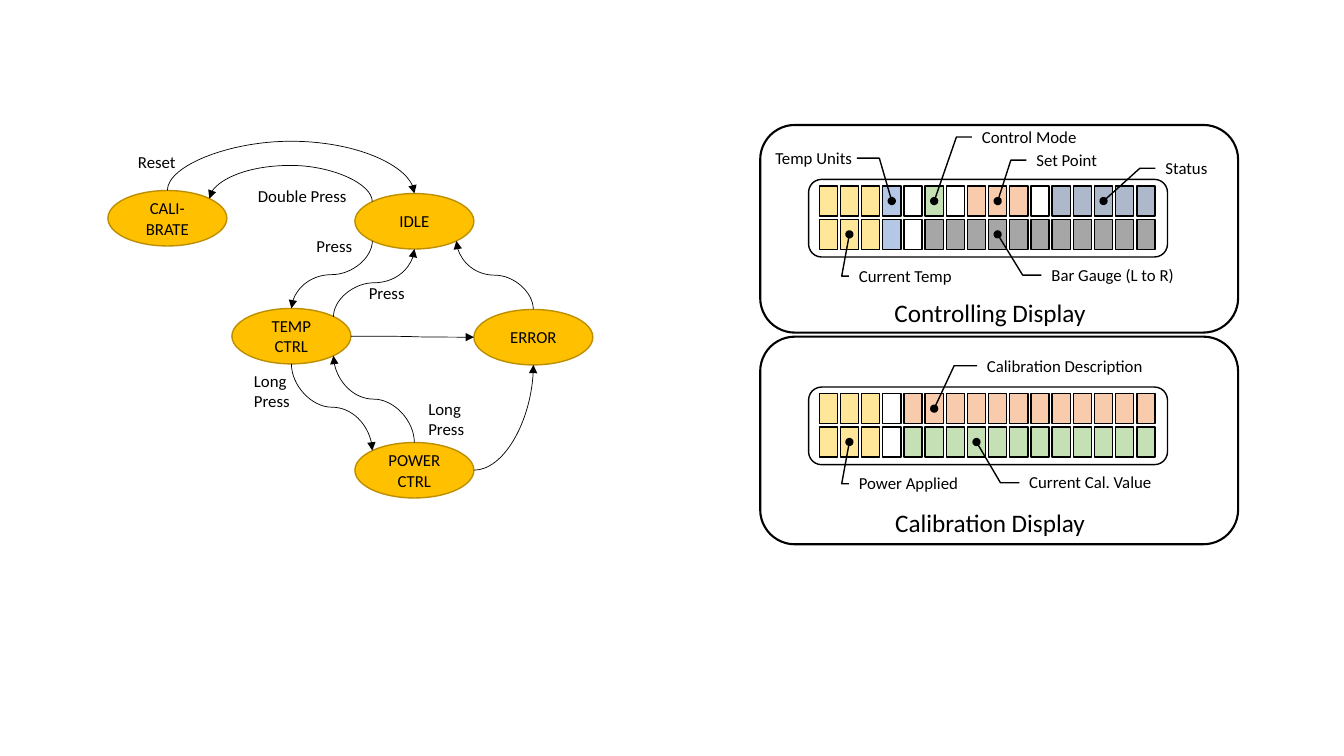
"""Draw a controller state diagram beside its two display layouts."""
from copy import deepcopy
from dataclasses import dataclass
from math import cos, radians, sin
from typing import Optional

from lxml import etree
from pptx import Presentation
from pptx import util as u
from pptx.dml.color import RGBColor
from pptx.enum import shapes, text
from pptx.oxml import ns

GRID = u.Inches(0.1)
STATE_W, STATE_H = 11.8, 5.5
CELL_W, CELL_H, CELL_DX, CELL_DY = 1.8, 3, 2.1, 3.3
PANEL_X, PANEL_W, PANEL_H = 75.4, 47.4, 20.6
FRAME_X, FRAME_W, FRAME_H = 80.2, 35.6, 7.7
COLORS = {"Y": "FFE699", "B": "B4C7E7", "G": "C5E0B4", "O": "F8CBAD",
          "S": "ADB9CA", "A": "A6A6A6", "-": None}
TOP, TOP_LEFT, LEFT, LOW_LEFT, BOTTOM, LOW_RIGHT, RIGHT, TOP_RIGHT = range(8)
MSO, ALIGN = shapes.MSO_SHAPE, text.PP_ALIGN


@dataclass
class State:
    name: str
    x: float
    y: float

    def site(self, i: int) -> tuple[float, float]:
        a = radians(90 + 45 * i)
        return (self.x + STATE_W / 2 * (1 + cos(a)),
                self.y + STATE_H / 2 * (1 - sin(a)))


@dataclass
class Link:
    start: str
    start_site: int
    end: str
    end_site: int
    peak: Optional[float] = None


@dataclass
class Label:
    text: str
    x: float
    y: float
    w: float
    h: float = 3


@dataclass
class Callout:
    text: str
    x: float
    y: float
    w: float
    col: int
    row: int
    elbow: float = -0.13
    flip: bool = False


@dataclass
class Panel:
    title: str
    y: float
    frame_y: float
    title_y: float
    rows: tuple[str, str]
    callouts: list[Callout]


STATES = [State("IDLE", 35.2, 19.2), State("TEMP\vCTRL", 23, 30.6),
          State("POWER\vCTRL", 35.2, 43.9), State("ERROR", 47, 30.7),
          State("CALI-BRATE", 10.7, 18.9)]
IDLE, TEMP, POWER, ERROR, CALIBRATE = (state.name for state in STATES)
LINKS = [Link(TEMP, BOTTOM, POWER, TOP_LEFT), Link(TEMP, RIGHT, ERROR, LEFT),
         Link(IDLE, LOW_LEFT, TEMP, TOP), Link(ERROR, TOP, IDLE, LOW_RIGHT),
         Link(POWER, RIGHT, ERROR, BOTTOM),
         Link(IDLE, TOP_LEFT, CALIBRATE, TOP_RIGHT, 16.4),
         Link(CALIBRATE, TOP, IDLE, TOP, 14),
         Link(TEMP, TOP_RIGHT, IDLE, BOTTOM), Link(POWER, TOP, TEMP, LOW_RIGHT)]
LABELS = [Label("Double Press", 24.6, 17.9, 11.5), Label("Reset", 12.7, 14.6, 11.5),
          Label("Press", 30.4, 22.9, 6.8), Label("Press", 35.6, 27.6, 6.8),
          Label("Long Press", 24.2, 36.3, 6.8, 5), Label("Long Press", 41.5, 39.1, 6.8, 5)]
PANELS = [
    Panel("Controlling Display", 12.4, 17.8, 29,
          ("YYYB-G-OOO-SSSSS", "YYYB-" + "A" * 11),
          [Callout("Temp Units", 75.4, 14.5, 10.1, 3, 0, -0.17, True),
           Callout("Control Mode", 96.4, 12.4, 11.9, 5, 0),
           Callout("Set Point", 101.8, 14.7, 11.9, 8, 0),
           Callout("Status", 114.6, 15.5, 11.9, 13, 0),
           Callout("Bar Gauge (L to R)", 103.3, 26.1, 14.4, 8, 1),
           Callout("Current Temp", 84.2, 26.2, 14.4, 1, 1, -0.05)]),
    Panel("Calibration Display", 33.4, 38.4, 49.8,
          ("YYY-" + "O" * 12, "YYY-" + "G" * 12),
          [Callout("Power Applied", 84.2, 46.8, 14.4, 1, 1, -0.05),
           Callout("Calibration Description", 96.9, 35.1, 17.5, 5, 0),
           Callout("Current Cal. Value", 101.1, 46.7, 14.4, 7, 1)])]


def grid(n: float) -> int:
    """Turn grid steps into a length."""
    return round(n * GRID)


def rgb(value: str) -> RGBColor:
    """Turn a hex string into a colour."""
    return RGBColor.from_string(value)


def write(sp, content: str, *, size: float = 12, align=ALIGN.LEFT,
          anchor=text.MSO_ANCHOR.MIDDLE, wrap: bool = True) -> None:
    """Set the text of a shape and its format."""
    tf = sp.text_frame
    tf.word_wrap, tf.vertical_anchor = wrap, anchor
    p = tf.paragraphs[0]
    p.text, p.alignment = content, align
    for r in p.runs:
        r.font.size, r.font.name = u.Pt(size), "Calibri"
        r.font.color.rgb = rgb("000000")
    for br in p._p.findall(ns.qn("a:br")):
        br.append(deepcopy(p.runs[0]._r.rPr))


def add_shape(s, kind, x: float, y: float, w: float, h: float,
              fill: Optional[str] = None, line: str = "000000", width: float = 1):
    """Add a preset shape with its fill and outline."""
    sp = s.shapes.add_shape(kind, grid(x), grid(y), grid(w), grid(h))
    sp.shadow.inherit = False
    if fill:
        sp.fill.solid()
        sp.fill.fore_color.rgb = rgb(fill)
    else:
        sp.fill.background()
    sp.line.color.rgb, sp.line.width = rgb(line), u.Pt(width)
    return sp


def add_label(s, label: Label, **fmt) -> None:
    """Add a text box that grows with its text."""
    sp = s.shapes.add_textbox(*map(grid, (label.x, label.y, label.w, label.h)))
    write(sp, label.text, anchor=text.MSO_ANCHOR.TOP, **fmt)
    sp.text_frame.auto_size = text.MSO_AUTO_SIZE.SHAPE_TO_FIT_TEXT


def end_line(sp, head: str) -> None:
    """Put an arrowhead at the end of a line."""
    etree.SubElement(sp._element.spPr.get_or_add_ln(), ns.qn("a:tailEnd"), type=head)


def add_link(s, link: Link, states: dict, drawn: dict) -> None:
    """Join two states by a curved arrow."""
    (x1, y1), (x2, y2) = (states[link.start].site(link.start_site),
                          states[link.end].site(link.end_site))
    dx, dy = x2 - x1, y2 - y1
    level = link.start_site in (LEFT, RIGHT)
    w, h = (abs(dx), abs(dy)) if level else (abs(dy), abs(dx))
    x, y = (x1 + x2 - w) / 2, (y1 + y2 - h) / 2
    sp = s.shapes.add_connector(shapes.MSO_CONNECTOR.CURVE,
                                *map(grid, (x, y, x + w, y + h)))
    sp.line.color.rgb, sp.line.width = rgb("000000"), u.Pt(0.5)
    end_line(sp, "triangle")
    spPr = sp._element.spPr
    etree.SubElement(spPr, ns.qn("a:effectLst"))
    xfrm, geom = spPr.find(ns.qn("a:xfrm")), spPr.find(ns.qn("a:prstGeom"))
    flips = (dx < 0, dy < 0) if level else (dy < 0, dx > 0)
    xfrm.set("rot", "0" if level else "5400000")
    for name, flip in zip(("flipH", "flipV"), flips):
        xfrm.set(name, str(int(flip)))
    if level and link.end_site in (TOP, BOTTOM):
        geom.set("prst", "curvedConnector2")
    if link.peak is not None:
        bend = round((link.peak - y1) / dy * 100000)
        etree.SubElement(geom.find(ns.qn("a:avLst")), ns.qn("a:gd"),
                         name="adj1", fmla=f"val {bend}")
    ends = sp._element.nvCxnSpPr.cNvCxnSpPr
    for tag, name, site in (("a:stCxn", link.start, link.start_site),
                            ("a:endCxn", link.end, link.end_site)):
        etree.SubElement(ends, ns.qn(tag), id=str(drawn[name].shape_id), idx=str(site))


def add_callout(s, c: Callout, cells_x: float, cells_y: float) -> None:
    """Add a label whose leader ends in the middle of a cell."""
    h = 2.3
    sp = add_shape(s, MSO.LINE_CALLOUT_2_NO_BORDER, c.x, c.y, c.w, h)
    tip_x = cells_x + c.col * CELL_DX + CELL_W / 2
    tip_y = cells_y + c.row * CELL_DY + CELL_H / 2
    reach = (c.x + c.w - tip_x if c.flip else tip_x - c.x) / c.w
    leader = (0.52, 0.05 if c.flip else 0, 0.52, c.elbow, (tip_y - c.y) / h, reach)
    for i, value in enumerate(leader):
        sp.adjustments[i] = value
    if c.flip:
        sp._element.spPr.find(ns.qn("a:xfrm")).set("flipH", "1")
    end_line(sp, "oval")
    write(sp, c.text, align=ALIGN.RIGHT if c.flip else ALIGN.LEFT)


def add_panel(s, panel: Panel) -> None:
    """Draw one display with its cells, callouts and title."""
    add_shape(s, MSO.ROUNDED_RECTANGLE, PANEL_X, panel.y, PANEL_W, PANEL_H, width=1.5)
    add_shape(s, MSO.ROUNDED_RECTANGLE, FRAME_X, panel.frame_y, FRAME_W, FRAME_H, "FFFFFF")
    x, y = FRAME_X + 1.05, panel.frame_y + 0.65
    for row, codes in enumerate(panel.rows):
        for col, code in enumerate(codes):
            add_shape(s, MSO.RECTANGLE, x + col * CELL_DX, y + row * CELL_DY,
                      CELL_W, CELL_H, COLORS[code])
    for callout in panel.callouts:
        add_callout(s, callout, x, y)
    add_label(s, Label(panel.title, 87.65, panel.title_y, 21.1, 4),
              size=18, align=ALIGN.CENTER, wrap=False)


prs = Presentation()
prs.slide_width, prs.slide_height = u.Inches(13.33), u.Inches(7.5)
s = prs.slides.add_slide(prs.slide_layouts[6])
drawn = {}
for state in STATES:
    sp = add_shape(s, MSO.OVAL, state.x, state.y, STATE_W, STATE_H, "FFC000", "BD8E00")
    write(sp, state.name, align=ALIGN.CENTER)
    drawn[state.name] = sp
for link in LINKS:
    add_link(s, link, {state.name: state for state in STATES}, drawn)
for label in LABELS:
    add_label(s, label)
for panel in PANELS:
    add_panel(s, panel)
prs.save("out.pptx")
